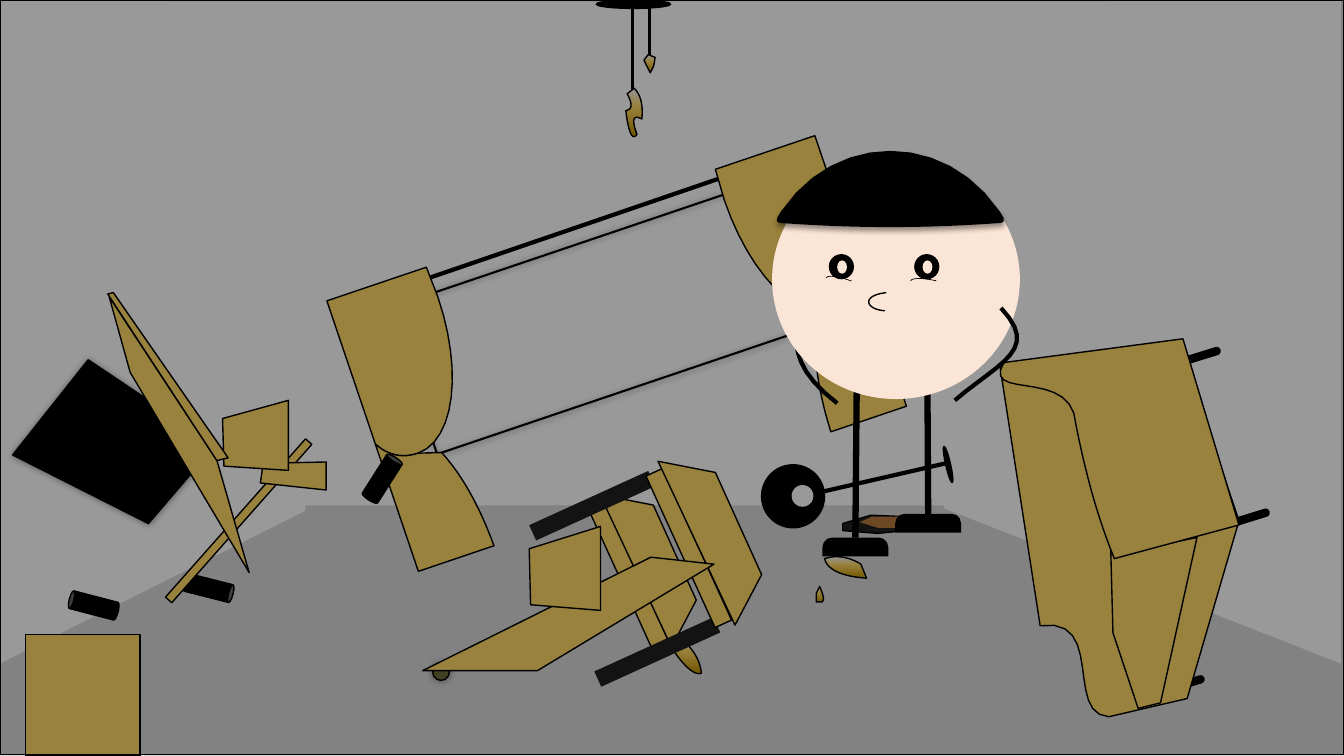
from dataclasses import dataclass
from math import comb, cos, radians, sin

from lxml import etree
from pptx import Presentation
from pptx.dml.color import RGBColor
from pptx.enum import shapes as kinds
from pptx.oxml.ns import qn
from pptx.util import Pt

MSO = kinds.MSO_SHAPE


@dataclass(frozen=True)
class Theme:
    """Colours of the room."""
    floor: str = "D9D9D9"
    wall: str = "FFFFFF"
    black: str = "000000"
    dark: str = "202020"
    gold: str = "FFD966"
    olive: str = "6C6C39"
    brown: str = "B6793C"
    skin: str = "FBE5D6"
    brass: tuple = ((0, "F6F8FC"), (37, "FFD966"), (100, "BF9000"))


T = Theme()
SOFT = (5, 0, 0)
HAIR_SHADOW = (4, 3, 90)


def add_color(parent, color, alpha=None):
    """Append an RGB colour, with an optional opacity in percent."""
    c = etree.SubElement(parent, qn("a:srgbClr"), val=color)
    if alpha is not None:
        etree.SubElement(c, qn("a:alpha"), val=str(alpha * 1000))


def paint(sp, fill=None, edge=T.black, width=1, shadow=None):
    """Set the fill, line and shadow of a shape."""
    sp.shadow.inherit = False
    pr = sp._element.spPr
    if fill is None:
        sp.fill.background()
    elif isinstance(fill, tuple):
        sp.fill.gradient()
        sp.fill.gradient_angle = 270
        stops = pr.find(".//" + qn("a:gsLst"))
        stops.clear()
        for pos, color in fill:
            add_color(etree.SubElement(stops, qn("a:gs"), pos=str(pos * 1000)), color)
    else:
        sp.fill.solid()
        sp.fill.fore_color.rgb = RGBColor.from_string(fill)
    if edge is None:
        sp.line.fill.background()
    else:
        sp.line.color.rgb = RGBColor.from_string(edge)
        sp.line.width = Pt(width)
    if shadow:
        blur, dist, angle = shadow
        glow = etree.SubElement(pr.find(qn("a:effectLst")), qn("a:outerShdw"), blurRad=str(Pt(blur)),
                                dist=str(Pt(dist)), dir=str(angle * 60000), rotWithShape="0")
        add_color(glow, T.black, 40)
    return sp


def preset(box, kind, at, rot=0, adj=(), **style):
    """Add a preset shape at left, top, width, height."""
    sp = box.add_shape(kind, *map(Pt, at))
    sp.rotation = rot
    for i, value in enumerate(adj):
        sp.adjustments[i] = value
    return paint(sp, **style)


def pairs(step):
    """Split a flat tuple into x, y pairs."""
    return list(zip(step[::2], step[1::2]))


def flatten(steps, parts=12):
    """Turn lines (one pair) and Bézier curves (more pairs) into points."""
    flat = [steps[0]]
    for step in steps[1:]:
        ends = [flat[-1], *pairs(step)]
        n = len(ends) - 1
        count = parts if n > 1 else 1
        for t in (k / count for k in range(1, count + 1)):
            weights = [comb(n, k) * t ** k * (1 - t) ** (n - k) for k in range(n + 1)]
            flat.append(tuple(sum(w * e[i] for w, e in zip(weights, ends)) for i in (0, 1)))
    return [(Pt(x), Pt(y)) for x, y in flat]


def outline(box, steps, closed=True, **style):
    """Add a freeform."""
    first, *rest = flatten(steps)
    b = box.build_freeform(*first)
    b.add_line_segments(rest, close=closed)
    return paint(b.convert_to_shape(), **style)


def line(box, x1, y1, x2, y2, width):
    """Add a straight black line."""
    c = box.add_connector(kinds.MSO_CONNECTOR.STRAIGHT, *map(Pt, (x1, y1, x2, y2)))
    c.line.color.rgb = RGBColor.from_string(T.black)
    c.line.width = Pt(width)
    etree.SubElement(c._element.spPr, qn("a:effectLst"))


def draw_walls(box):
    """Draw the walls, the ceiling and the black cloth."""
    preset(box, MSO.RECTANGLE, (202, 97, 500, 264), fill=T.wall, edge=None)
    for steps in ([(120, 1), (794, 1), (672, 99), (215, 99)],
                  [(0, 0), (122, 0), (215, 99), (218, 365), (0, 474)],
                  [(791, 0), (958, 0), (958, 474), (674, 363), (673, 96)]):
        outline(box, steps, fill=T.wall, edge=None)
    outline(box, [(63, 257), (154, 318), (106, 374), (9, 325)], fill=T.black, shadow=SOFT)


def draw_window(box):
    """Draw the tilted window with mirrored curtains."""
    tilt, cx, cy = 341.3, 431.5, 226
    c, s = cos(radians(tilt)), sin(radians(tilt))
    upper = [(109, -74), (184, -74), (184, 34), (175, 50, 157, 50), (129, 49, 108, 4, 108, -51)]
    lower = [(184, 34), (184, 130), (127, 130), (128, 85, 141, 55), (157, 50), (175, 50, 184, 34)]
    preset(box, MSO.RECTANGLE, (287, 171, 289, 110), tilt, width=1.5, shadow=SOFT)
    line(box, 289, 204.5, 527, 123, 3)
    for side in (1, -1):
        for curtain in (upper, lower):
            steps = [sum(((cx + side * u * c - v * s, cy + side * u * s + v * c) for u, v in pairs(step)), ())
                     for step in curtain]
            outline(box, steps, fill=T.gold)


def draw_floor_lamp(box):
    """Draw the fallen floor lamp."""
    line(box, 571, 355, 677.5, 330.5, 3)
    preset(box, MSO.OVAL, (544, 332, 45, 45), fill=T.black)
    preset(box, MSO.OVAL, (566, 347, 14.5, 14.5), fill=T.wall, edge=T.wall)
    preset(box, MSO.OVAL, (664, 330, 26.5, 3.5), 257.1, fill=T.black)


def draw_ceiling_lamp(box):
    """Draw the cords of the broken ceiling lamp."""
    line(box, 452, 1, 452, 65.5, 2.25)
    preset(box, MSO.OVAL, (426, 0, 53, 6), fill=T.black)
    line(box, 464, 0, 464, 40, 2.25)


def draw_sofa(box):
    """Draw the overturned sofa."""
    for x, y in ((856, 240.5), (891, 356), (844.5, 475)):
        preset(box, MSO.ROUNDED_RECTANGLE, (x, y, 5, 27), 252.8, (0.5,), fill=T.black)
    for steps in (
            [(714, 260), (743, 447), (790, 440, 760, 510, 792, 512), (848, 499), (885, 372), (842, 244)],
            [(791, 302), (795, 452), (813, 506), (829, 502), (855, 384), (809, 393)],
            [(717, 259), (702, 285, 757, 265, 767, 295), (778, 355, 796, 399), (885, 375), (845, 242)]):
        outline(box, steps, fill=T.gold)


def draw_shards(box):
    """Draw the brass shards."""
    for steps in (
            [(585.5, 419), (590, 429, 587, 430), (583, 430), (583, 424)],
            [(463, 39), (468, 41), (467, 47), (464.5, 52), (460, 43)],
            [(589, 399), (602, 395, 615, 403), (619, 413), (592, 411, 589, 399)],
            [(453, 63), (460, 70, 458.5, 85), (449, 80, 455, 96), (450, 103, 447, 79), (454, 78, 448, 67)],
            [(485, 455), (500, 467, 501, 481), (494, 483, 482, 466)]):
        outline(box, steps, fill=T.brass)


def draw_panel(box, cx, cy, scale):
    """Draw one side of the chair round the centre of its rail."""
    w = 111 * scale + 8
    preset(box, MSO.RECTANGLE, (cx - w / 2, cy - 6.5, w, 13), 65.5, fill=T.gold)
    corners = ((19, -54), (52, 19), (33, 55), (-22, -62))
    outline(box, [(cx + x * scale, cy + y * scale) for x, y in corners], fill=T.gold)


def draw_chair(box):
    """Draw the broken chair, the flat book and the loose knob."""
    draw_panel(box, 449, 411, 0.93)
    for x, y in ((463.5, 419), (417, 314.5)):
        preset(box, MSO.RECTANGLE, (x, y, 12, 93.5), 65.5, fill=T.dark, edge=None)
    outline(box, [(602, 374), (622, 368), (646, 369), (646, 379), (627, 381), (602, 379)], fill=T.dark)
    outline(box, [(614, 373), (623, 369), (646, 369), (646, 377), (627, 377)], fill=T.brown, edge=None)
    preset(box, MSO.OVAL, (309, 474, 12, 12), fill=T.olive, shadow=SOFT)
    draw_panel(box, 492, 391.5, 1)


def draw_debris(box):
    """Draw the planks, boards and cans."""
    for x, y, rot in ((142.5, 402, 104.2), (266.5, 324, 32.5), (60.5, 414.5, 284.6)):
        preset(box, MSO.CAN, (x, y, 13, 36), rot, fill=T.black)
    preset(box, MSO.RECTANGLE, (95, 369, 151, 6), 311.5, fill=T.gold)
    for steps in (
            [(465, 398), (510, 403), (384, 479), (302, 479)],
            [(186, 345), (233, 350), (233, 330), (188, 331)],
            [(159, 299), (206, 286), (206, 336), (160, 333)],
            [(93, 266), (78, 212), (155, 329), (178, 409)],
            [(77, 210), (81, 209), (163, 327), (155, 329)],
            [(378, 392), (429, 376), (429, 436), (379, 432)]):
        outline(box, steps, fill=T.gold)
    preset(box, MSO.RECTANGLE, (18, 453, 82, 87), fill=T.gold)


def draw_person(box):
    """Draw the round-headed person."""
    outline(box, [(570, 209), (573, 235, 555, 255, 598, 288)], closed=False, width=3)
    line(box, 662.5, 279.5, 663, 367, 4.5)
    line(box, 612, 271, 611, 384, 4.5)
    preset(box, MSO.OVAL, (551.5, 114, 177, 171), fill=T.skin, edge=None)
    for x, y in ((587.5, 384), (639.5, 367)):
        preset(box, MSO.ROUND_2_SAME_RECTANGLE, (x, y, 47, 13.5), 0, (0.5, 0), fill=T.black, edge=None)
    outline(box, [(715, 220), (743, 250, 715, 258, 682, 286)], closed=False, width=3)
    outline(box, [(633, 209), (615, 211, 618, 221, 632, 222)], closed=False)
    for x, rot in ((653, 13.3), (592, 20.6)):
        preset(box, MSO.OVAL, (x, 181.5, 18, 18), fill=T.black, edge=None)
        preset(box, MSO.OVAL, (x + 6, 186, 7, 9.5), fill=T.skin, edge=None)
        preset(box, MSO.ARC, (x - 3, 200.5, 35.5, 8.5), rot, (108, 162), width=0.5)
    for steps in ([(560, 152), (636, 146, 712, 152), (715, 157), (636, 163, 557, 157)],
                  [(560, 152), (598, 96, 674, 96, 712, 152), (636, 146, 560, 152)]):
        outline(box, steps, fill=T.black, width=4.5, shadow=HAIR_SHADOW)


def main():
    """Build the slide and save it."""
    prs = Presentation()
    for name, value in {"slide_width": Pt(960), "slide_height": Pt(540)}.items():
        setattr(prs, name, value)
    s = prs.slides.add_slide(prs.slide_layouts[6])
    s.background.fill.solid()
    s.background.fill.fore_color.rgb = RGBColor.from_string(T.floor)
    draw_walls(s.shapes)
    for draw in (draw_window, draw_floor_lamp, draw_ceiling_lamp, draw_sofa, draw_shards, draw_chair, draw_debris):
        draw(s.shapes.add_group_shape().shapes)
    shade = preset(s.shapes, MSO.RECTANGLE, (0, 0, 960, 539), fill=T.black)
    color = shade._element.spPr.find(".//" + qn("a:srgbClr"))
    etree.SubElement(color, qn("a:alpha"), val="40000")
    draw_person(s.shapes.add_group_shape().shapes)
    prs.save("out.pptx")


if __name__ == "__main__":
    main()
